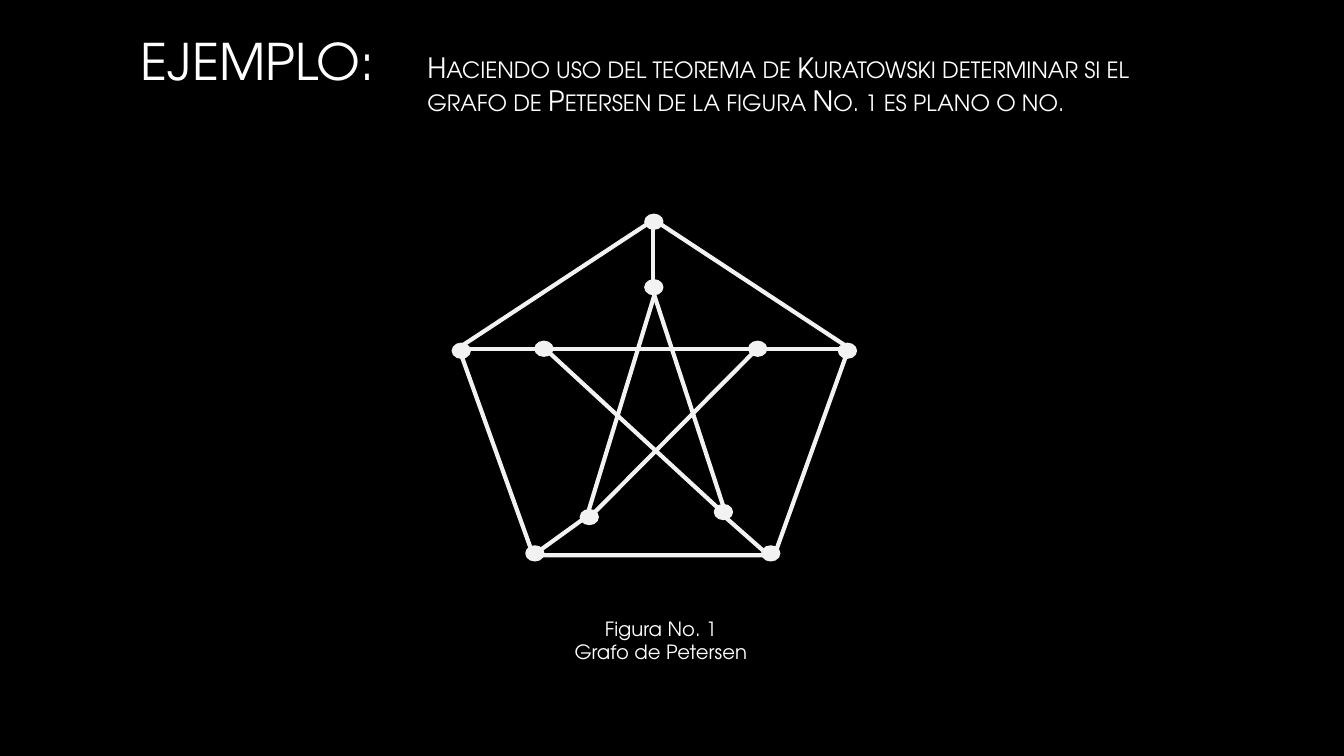
from dataclasses import dataclass, field
from typing import Any

import lxml.etree
import pptx
import pptx.dml.color
import pptx.enum.shapes
import pptx.enum.text
import pptx.oxml.ns
import pptx.util

SHAPES = pptx.enum.shapes.MSO_SHAPE
ANCHOR = pptx.enum.text.MSO_ANCHOR
ALIGN = pptx.enum.text.PP_ALIGN
AUTO_SIZE = pptx.enum.text.MSO_AUTO_SIZE


@dataclass(frozen=True)
class Theme:
    background: str = "000000"
    text: str = "FFFFFF"
    graph: str = "F2F2F2"
    font: str = "TeX Gyre Adventor"
    title_size: int = 36
    statement_size: int = 20
    caption_size: int = 14
    vertex_line: float = 1.5
    edge_line: float = 3


@dataclass(frozen=True)
class Point:
    column: float
    row: float


@dataclass(frozen=True)
class Area:
    column: float
    row: float
    columns: float
    rows: float


@dataclass(frozen=True)
class Edge:
    start: Point
    end: Point


@dataclass(frozen=True)
class TextBlock:
    area: Area
    lines: tuple[str, ...]
    size: int
    small_caps: bool = False
    alignment: Any = ALIGN.LEFT
    frame_format: dict[str, Any] = field(default_factory=dict)


THEME = Theme()
SLIDE_WIDTH = pptx.util.Inches(13.33)
SLIDE_HEIGHT = pptx.util.Inches(7.5)
GRID_COLUMNS = 133.3
GRID_ROWS = 75
VERTEX_COLUMNS = 1.7
VERTEX_ROWS = 1.4

VERTICES = [
    Point(64, 21.3), Point(44.9, 34.1), Point(83.2, 34.1),
    Point(75.6, 54.2), Point(52.2, 54.2),
    Point(53.1, 33.9), Point(64, 27.8), Point(74.3, 33.9),
    Point(57.6, 50.6), Point(70.9, 50.1),
]
PENTAGON = Area(45.5, 21.8, 38.7, 33.3)
SPOKES = [
    Edge(Point(64.8, 22), Point(64.8, 28.4)),
    Edge(Point(45.5, 34.6), Point(53.8, 34.6)),
    Edge(Point(75.6, 34.6), Point(83.9, 34.6)),
    Edge(Point(53, 55), Point(58.4, 51.1)),
    Edge(Point(76, 54.9), Point(71.7, 51.1)),
]
STAR = [
    Edge(Point(54.6, 35.1), Point(71.1, 50.3)),
    Edge(Point(64.9, 29.3), Point(71.7, 50.1)),
    Edge(Point(64.9, 29.3), Point(58.4, 50.6)),
    Edge(Point(54.8, 34.6), Point(74.3, 34.6)),
    Edge(Point(74.6, 35.1), Point(59, 50.8)),
]
TEXT_BLOCKS = [
    TextBlock(
        Area(13, 2.2, 40.5, 7.5), ("EJEMPLO:",), THEME.title_size,
        frame_format={"word_wrap": True, "vertical_anchor": ANCHOR.MIDDLE},
    ),
    TextBlock(
        Area(41.4, 1.7, 76.8, 13.2),
        ("Haciendo uso del teorema de Kuratowski determinar si el grafo de "
         "Petersen de la figura No. 1 es plano o no.",),
        THEME.statement_size, small_caps=True,
        frame_format={"word_wrap": True, "vertical_anchor": ANCHOR.MIDDLE},
    ),
    TextBlock(
        Area(55.8, 60.7, 19.5, 5.7), ("Figura No. 1", "Grafo de Petersen"),
        THEME.caption_size, alignment=ALIGN.CENTER,
        frame_format={"word_wrap": False, "auto_size": AUTO_SIZE.SHAPE_TO_FIT_TEXT},
    ),
]


def across(columns: float) -> int:
    return round(SLIDE_WIDTH * columns / GRID_COLUMNS)


def down(rows: float) -> int:
    return round(SLIDE_HEIGHT * rows / GRID_ROWS)


def bounds(area: Area) -> tuple[int, int, int, int]:
    return across(area.column), down(area.row), across(area.columns), down(area.rows)


def color(value: str) -> pptx.dml.color.RGBColor:
    return pptx.dml.color.RGBColor.from_string(value)


def apply_format(target: Any, values: dict[str, Any]) -> None:
    for name, value in values.items():
        setattr(target, name, value)


def draw_line(line: Any, width: float) -> None:
    line.color.rgb = color(THEME.graph)
    line.width = pptx.util.Pt(width)


def add_vertex(shapes: Any, vertex: Point) -> None:
    area = Area(vertex.column, vertex.row, VERTEX_COLUMNS, VERTEX_ROWS)
    shape = shapes.add_shape(SHAPES.OVAL, *bounds(area))
    shape.shadow.inherit = False
    shape.fill.solid()
    shape.fill.fore_color.rgb = color(THEME.graph)
    draw_line(shape.line, THEME.vertex_line)


def add_pentagon(shapes: Any, area: Area) -> None:
    shape = shapes.add_shape(SHAPES.REGULAR_PENTAGON, *bounds(area))
    shape.shadow.inherit = False
    shape.fill.background()
    draw_line(shape.line, THEME.edge_line)


def add_edge(shapes: Any, edge: Edge) -> None:
    connector = shapes.add_connector(
        pptx.enum.shapes.MSO_CONNECTOR.STRAIGHT,
        across(edge.start.column), down(edge.start.row),
        across(edge.end.column), down(edge.end.row),
    )
    draw_line(connector.line, THEME.edge_line)
    properties = connector.element.find(pptx.oxml.ns.qn("p:spPr"))
    lxml.etree.SubElement(properties, pptx.oxml.ns.qn("a:effectLst"))


def add_text(shapes: Any, block: TextBlock) -> None:
    text_frame = shapes.add_textbox(*bounds(block.area)).text_frame
    apply_format(text_frame, block.frame_format)
    text_frame.text = "\n".join(block.lines)
    for paragraph in text_frame.paragraphs:
        paragraph.alignment = block.alignment
        for run in paragraph.runs:
            apply_format(run.font, {"name": THEME.font, "size": pptx.util.Pt(block.size)})
            run.font.color.rgb = color(THEME.text)
            if block.small_caps:
                run._r.get_or_add_rPr().set("cap", "small")


def main() -> None:
    presentation = pptx.Presentation()
    apply_format(presentation, {"slide_width": SLIDE_WIDTH, "slide_height": SLIDE_HEIGHT})
    slide = presentation.slides.add_slide(presentation.slide_layouts[6])
    slide.background.fill.solid()
    slide.background.fill.fore_color.rgb = color(THEME.background)

    graph = slide.shapes.add_group_shape()
    for vertex in VERTICES:
        add_vertex(graph.shapes, vertex)
    add_pentagon(graph.shapes, PENTAGON)
    for edge in SPOKES + STAR:
        add_edge(graph.shapes, edge)
    for block in TEXT_BLOCKS:
        add_text(slide.shapes, block)

    presentation.save("out.pptx")


if __name__ == "__main__":
    main()
